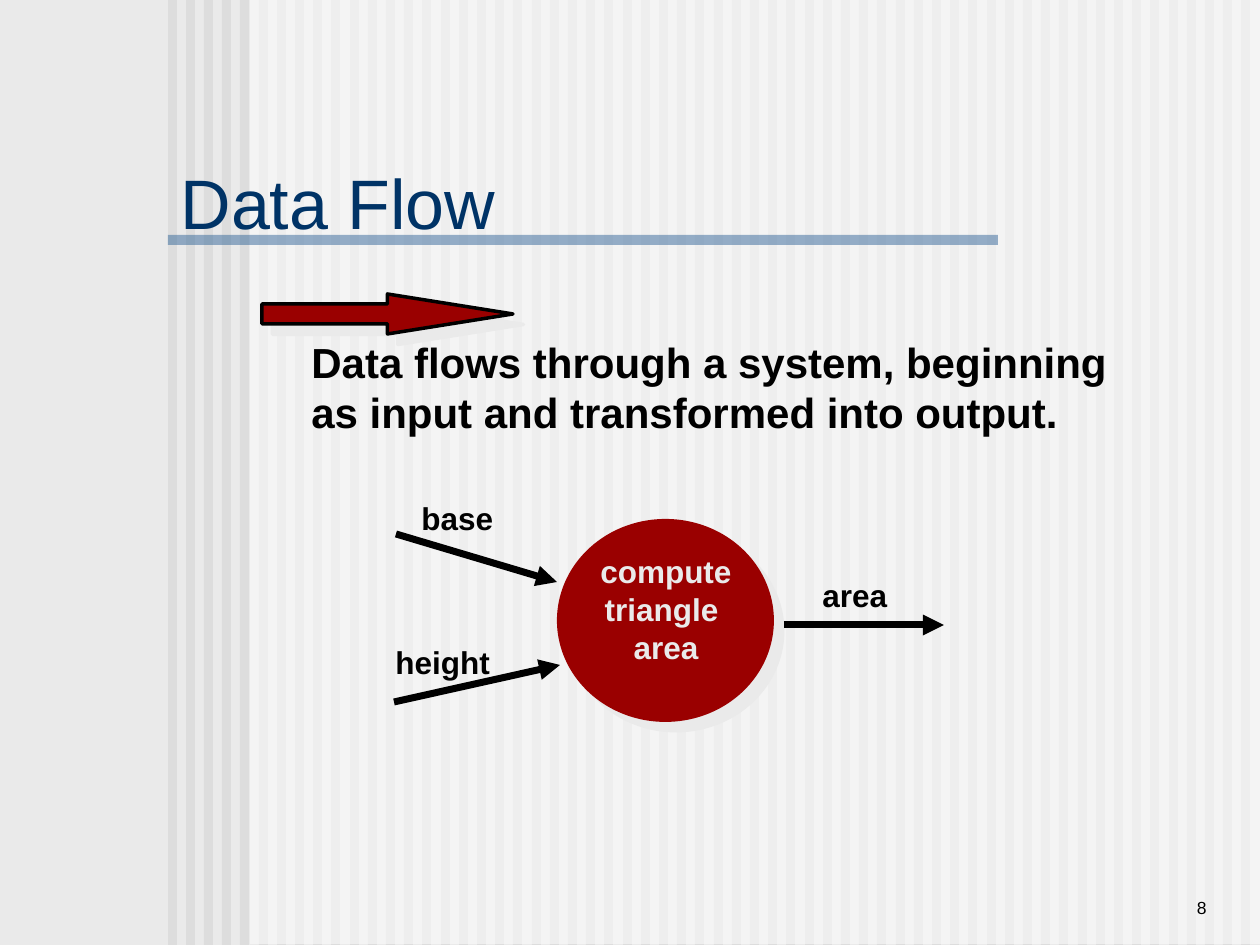
"""Build the Data Flow slide."""
from lxml import etree
from pptx import Presentation
from pptx.dml.color import RGBColor
from pptx.enum.shapes import MSO_CONNECTOR, MSO_SHAPE
from pptx.enum.text import MSO_ANCHOR, MSO_AUTO_SIZE, PP_ALIGN
from pptx.oxml.ns import qn
from pptx.util import Emu, Pt

RECT, OVAL, ARROW = MSO_SHAPE.RECTANGLE, MSO_SHAPE.OVAL, MSO_SHAPE.RIGHT_ARROW
STRAIGHT = MSO_CONNECTOR.STRAIGHT
LEFT, CENTER, RIGHT = PP_ALIGN.LEFT, PP_ALIGN.CENTER, PP_ALIGN.RIGHT
TOP, MIDDLE, BOTTOM = MSO_ANCHOR.TOP, MSO_ANCHOR.MIDDLE, MSO_ANCHOR.BOTTOM
NO_FIT = MSO_AUTO_SIZE.NONE

PALE = RGBColor(0xEA, 0xEA, 0xEA)
STRIPE = RGBColor(0xDD, 0xDD, 0xDD)
WHITE = RGBColor(0xFF, 0xFF, 0xFF)
BLUE = RGBColor(0x33, 0x66, 0x99)
NAVY = RGBColor(0x00, 0x33, 0x66)
RED = RGBColor(0x9A, 0x00, 0x00)
BLACK = RGBColor(0, 0, 0)

FONT = "Arial"
WIDTH, HEIGHT = 1260, 945


def px(n):
    return Emu(round(n * 914400 / 126))


def write(tf, text, size=18, color=BLACK, bold=False, align=LEFT, anchor=TOP, wrap=False):
    tf.auto_size, tf.word_wrap, tf.vertical_anchor = NO_FIT, wrap, anchor
    tf.text = text
    for p in tf.paragraphs:
        p.alignment = align
        for r in p.runs:
            r.font.name, r.font.size = FONT, Pt(size)
            r.font.bold, r.font.color.rgb = bold, color


class Deck:
    """Holds the style and the current slide."""

    def __init__(self, prs):
        self.s = prs.slides.add_slide(prs.slide_layouts[5])
        fill = self.s.background.fill
        fill.solid()
        fill.fore_color.rgb = PALE

    def shape(self, kind, x, y, w, h, color, alpha=None, line=None, shadow=False):
        sp = self.s.shapes.add_shape(kind, px(x), px(y), px(w), px(h))
        sp.fill.solid()
        sp.fill.fore_color.rgb = color
        if alpha:
            clr = sp.element.spPr.find(".//" + qn("a:srgbClr"))
            etree.SubElement(clr, qn("a:alpha"), val=str(alpha * 1000))
        if line:
            sp.line.color.rgb, sp.line.width = BLACK, Pt(line)
        else:
            sp.line.fill.background()
        sp.shadow.inherit = False
        if shadow:
            effects = sp.element.spPr.find(qn("a:effectLst"))
            shade = etree.SubElement(effects, qn("a:outerShdw"), dist=str(Pt(8.5)),
                                     dir="2700000", algn="ctr", rotWithShape="0")
            etree.SubElement(shade, qn("a:srgbClr"), val=str(PALE))
        return sp

    def title(self, text, x, y, w, h):
        sp = self.s.shapes.title
        sp.left, sp.top, sp.width, sp.height = px(x), px(y), px(w), px(h)
        sp.element.getparent().append(sp.element)
        write(sp.text_frame, text, size=40, color=NAVY, anchor=MIDDLE, wrap=True)

    def text(self, text, x, y, w, h, **fmt):
        sp = self.s.shapes.add_textbox(px(x), px(y), px(w), px(h))
        write(sp.text_frame, text, **fmt)

    def arrow(self, x1, y1, x2, y2):
        c = self.s.shapes.add_connector(STRAIGHT, px(x1), px(y1), px(x2), px(y2))
        c.line.color.rgb, c.line.width = BLACK, Pt(4)
        spPr = c.element.spPr
        etree.SubElement(spPr.find(qn("a:ln")), qn("a:tailEnd"), type="triangle")
        etree.SubElement(spPr, qn("a:effectLst"))


def main():
    prs = Presentation()
    prs.slide_width, prs.slide_height = px(WIDTH), px(HEIGHT)
    deck = Deck(prs)

    for i in range(60):
        deck.shape(RECT, 168 + i * 182 // 10, 0, 9, HEIGHT, STRIPE)
    deck.shape(RECT, 250, 0, WIDTH - 250, HEIGHT - 1, WHITE, alpha=50)
    deck.shape(RECT, 168, 235, 830, 10, BLUE, alpha=50)
    deck.title("Data Flow", 168, 179, 718, 45)

    block_arrow = deck.shape(ARROW, 262, 294, 251, 40, RED, line=2, shadow=True)
    block_arrow.adjustments[0] = 0.5
    block_arrow.adjustments[1] = 3.14
    deck.text("Data flows through a system, beginning\nas input and transformed into output.",
              299, 330, 820, 113, size=24, bold=True)

    deck.shape(OVAL, 557, 519, 217, 203, RED, shadow=True)
    deck.text("compute\ntriangle \narea", 588, 546, 156, 164,
              color=PALE, bold=True, align=CENTER)

    for ends in ((396, 534, 557, 582), (394, 702, 560, 665), (784, 625, 944, 625)):
        deck.arrow(*ends)
    for label, x, y, w in (("base", 409, 493, 97), ("height", 383, 637, 120),
                           ("area", 810, 570, 90)):
        deck.text(label, x, y, w, 50, bold=True)

    deck.text("8", 1040, 861, 179, 63, size=10, align=RIGHT, anchor=BOTTOM, wrap=True)
    prs.save("out.pptx")


if __name__ == "__main__":
    main()
